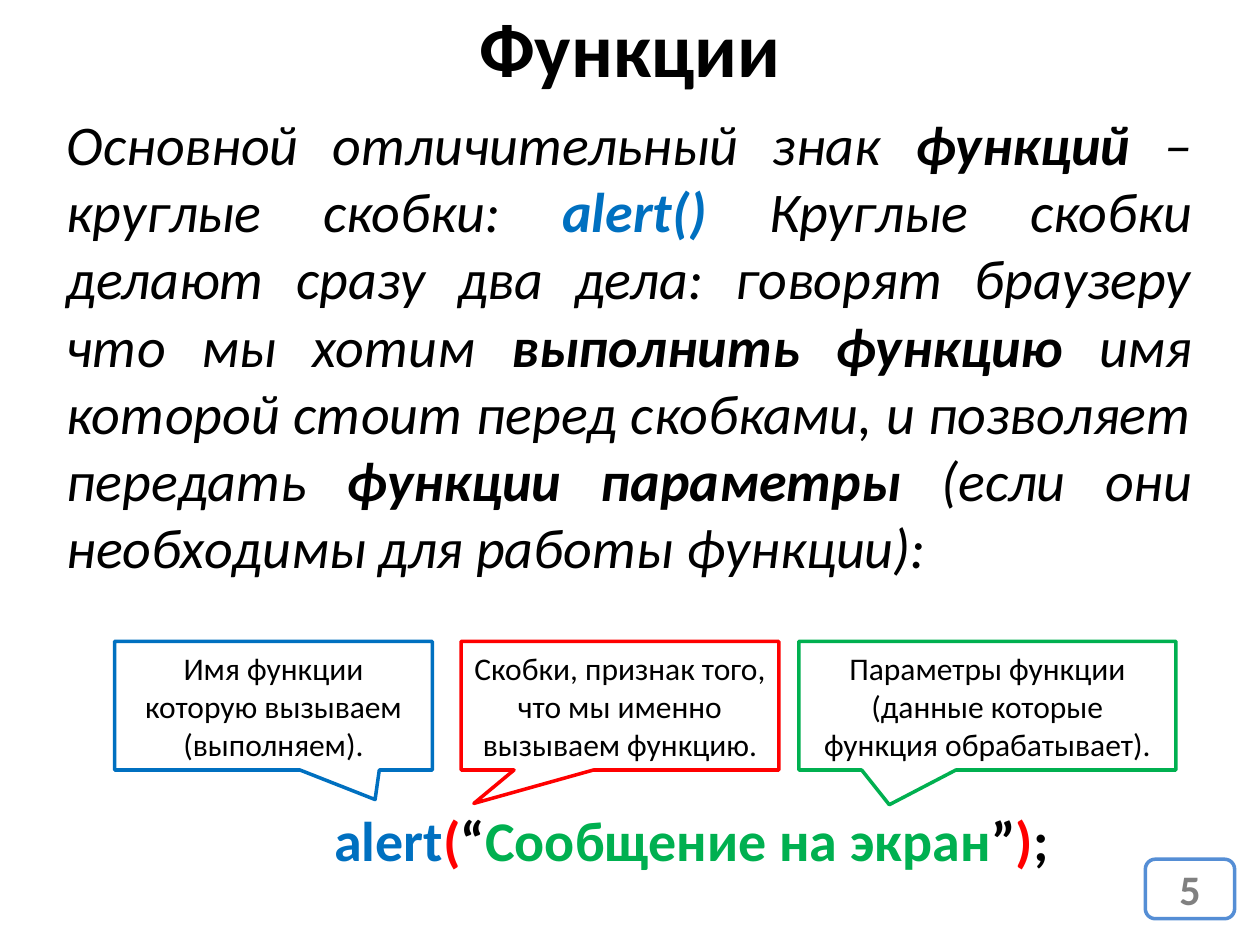
from pptx import Presentation
from pptx.dml.color import RGBColor
from pptx.enum.shapes import MSO_SHAPE as Shape
from pptx.enum.text import MSO_ANCHOR as Anchor, PP_ALIGN as Align
from pptx.util import Pt

COLORS = {
    "black": "000000", "white": "FFFFFF", "gray": "808080", "blue": "0070C0",
    "red": "FF0000", "green": "00B050", "frame": "558ED5",
}
FONT = "Calibri"

TITLE = "Функции"
# Runs are (text, color, bold)
DEFINITION = [
    ("Основной отличительный знак ", "black", False),
    ("функций", "black", True),
    (" – круглые скобки: ", "black", False),
    ("alert() ", "blue", True),
    ("Круглые скобки делают сразу два дела: говорят браузеру что мы хотим ", "black", False),
    ("выполнить функцию", "black", True),
    (" имя которой стоит перед скобками, и позволяет передать ", "black", False),
    ("функции параметры", "black", True),
    (" (если они необходимы для работы функции): ", "black", False),
]
CODE = [
    ("alert", "blue", True),
    ("(", "red", True),
    ("“", "black", True),
    ("Сообщение на экран", "green", True),
    ("”", "black", True),
    (")", "red", True),
    (";", "black", True),
]
# Callouts are (text, color, left, width, pointer offsets)
CALLOUTS = [
    ("Имя функции которую вызываем (выполняем).", "blue", 65.5, 181.5, (0.32, 0.73)),
    ("Скобки, признак того, что мы именно вызываем функцию.", "red", 263.5, 181.5, (-0.46, 0.76)),
    ("Параметры функции (данные которые функция обрабатывает).", "green", 456.5, 215.5, (-0.26, 0.77)),
]
CALLOUT_TOP, CALLOUT_HEIGHT = 366.5, 73.5
PAGE_NUMBER = "5"


def color(name):
    return RGBColor.from_string(COLORS[name])


def write(shape, runs, size, align=Align.LEFT, anchor=Anchor.TOP, italic=False, wrap=True):
    frame = shape.text_frame
    frame.word_wrap = wrap
    frame.vertical_anchor = anchor
    paragraph = frame.paragraphs[0]
    paragraph.alignment = align
    for text, color_name, bold in runs:
        run = paragraph.add_run()
        run.text = text
        font = run.font
        font.name, font.size = FONT, Pt(size)
        font.bold, font.italic = bold, italic
        font.color.rgb = color(color_name)


def add_text(slide, box, runs, **text_format):
    write(slide.shapes.add_textbox(*map(Pt, box)), runs, **text_format)


def add_outlined(slide, kind, box, runs, line, size, fill=None):
    shape = slide.shapes.add_shape(kind, *map(Pt, box))
    shape.shadow.inherit = False
    if fill:
        shape.fill.solid()
        shape.fill.fore_color.rgb = color(fill)
    else:
        shape.fill.background()
    shape.line.color.rgb = color(line)
    shape.line.width = Pt(2)
    write(shape, runs, size, align=Align.CENTER, anchor=Anchor.MIDDLE)
    return shape


def main():
    presentation = Presentation()
    presentation.slide_width, presentation.slide_height = Pt(720), Pt(540)
    slide = presentation.slides.add_slide(presentation.slide_layouts[5])

    title = slide.shapes.title
    title.left, title.top, title.width, title.height = map(Pt, (36, -2, 648, 57))
    write(title, [(TITLE, "black", True)], 44, align=Align.CENTER, anchor=Anchor.MIDDLE)

    add_outlined(slide, Shape.ROUNDED_RECTANGLE, (654.5, 491, 51, 34),
                 [(PAGE_NUMBER, "gray", True)], line="frame", size=24, fill="white")
    add_text(slide, (31, 59, 657.5, 278.5), DEFINITION, size=32, align=Align.JUSTIFY, italic=True)
    add_text(slide, (184, 456.5, 426, 46), CODE, size=32, wrap=False)

    for text, line, left, width, pointer in CALLOUTS:
        callout = add_outlined(slide, Shape.RECTANGULAR_CALLOUT,
                               (left, CALLOUT_TOP, width, CALLOUT_HEIGHT),
                               [(text, "black", False)], line=line, size=18)
        callout.adjustments[0], callout.adjustments[1] = pointer

    presentation.save("out.pptx")


if __name__ == "__main__":
    main()
